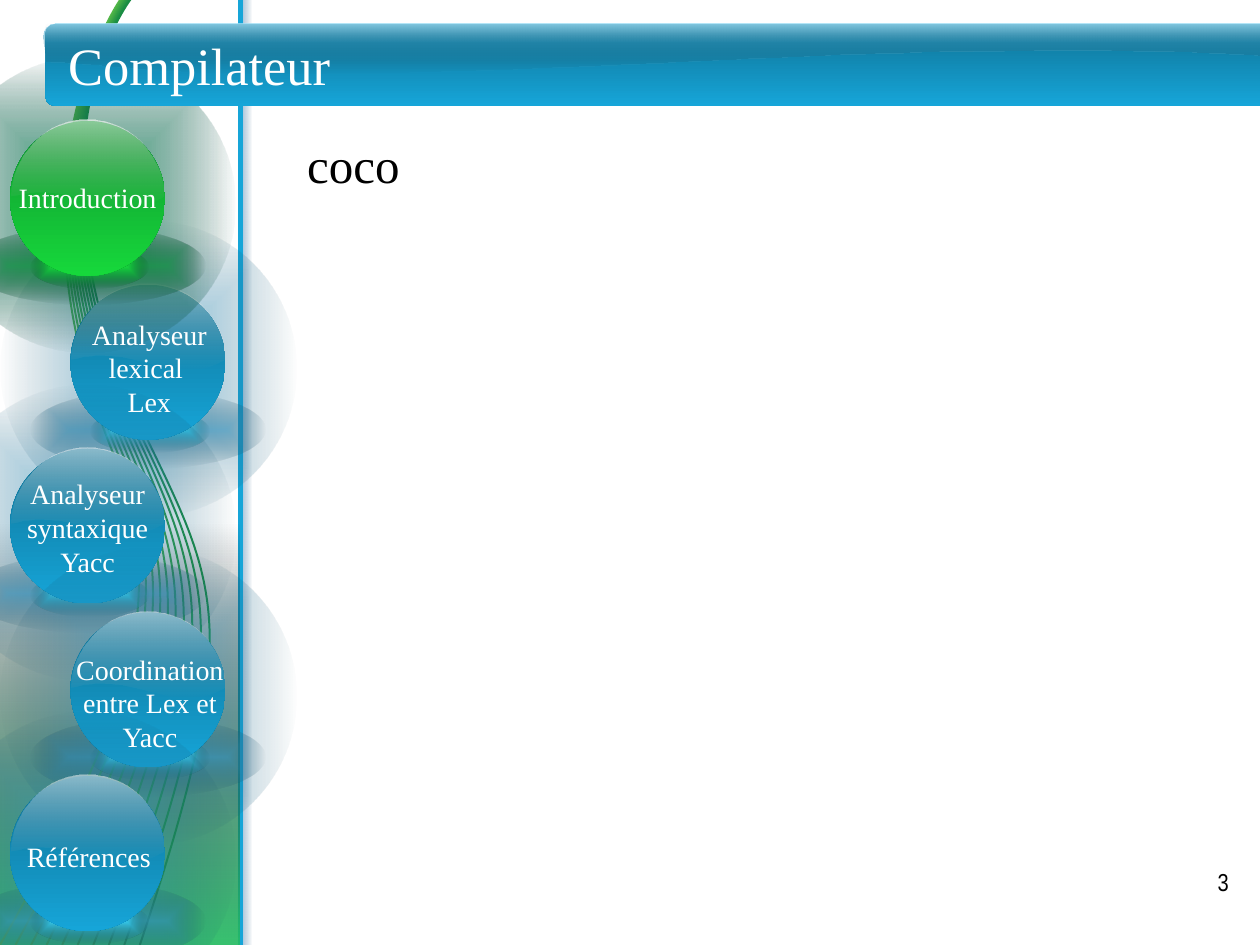
"""Build the compiler slide with its side menu of glossy orbs."""
from lxml import etree
from pptx import Presentation
from pptx.dml.color import RGBColor
from pptx.enum.shapes import MSO_CONNECTOR, MSO_SHAPE
from pptx.enum.text import MSO_ANCHOR, PP_ALIGN
from pptx.oxml import parse_xml
from pptx.oxml.ns import nsdecls, qn
from pptx.util import Inches, Pt

RECT, OVAL, ROUND = MSO_SHAPE.RECTANGLE, MSO_SHAPE.OVAL, MSO_SHAPE.ROUNDED_RECTANGLE
LEFT, MID, RIGHT, JUST = PP_ALIGN.LEFT, PP_ALIGN.CENTER, PP_ALIGN.RIGHT, PP_ALIGN.JUSTIFY
TOP, CENTRE = MSO_ANCHOR.TOP, MSO_ANCHOR.MIDDLE
SERIF, NARROW = "Times New Roman", "Arial Narrow"
WIDE, HIGH = 10, 7.5

HUES = {"white": "FFFFFF", "black": "000000", "rail": "16A5D8",
        "light": "53B848", "dark": "1A8D44"}
COUNT = 10
FIRST = [(0.96, -0.01), (0.96, -0.01, 0, 1.34, 0.88, 3.55), (1.34, 4.71, 1.11, 5.57, 0, 7.5)]
LAST = [(1.04, -0.01), (1.04, -0.01, 0.07, 1.22, 1.2, 3.55), (1.74, 4.67, 1.93, 5.06, 1.11, 7.5)]

GLOSS = [("FFFFFF", 53), ("B6B6B6", 0)]
BODY = [("0F7295", 100), ("16A5D8", 100)]
SKINS = {
    "blue": [[("2FA4D9", 62), ("164C64", 0)], [("338EB7", 61), ("184255", 0)],
             [("35C8EB", 93), ("195D6D", 0)], BODY],
    "green": [[("10942F", 62), ("074416", 0)], [("10942F", 61), ("074416", 0)],
              [("16D83B", 93), ("0A641B", 0)], [("10942F", 100), ("16D83B", 100)]],
}
DISCS = [(0, 0, 2.35, 2.35), (0.24, 1.35, 1.87, 0.62),
         (0.72, 1.5, 0.94, 0.34), (0.56, 0.51, 1.23, 1.23)]
LID = [(1.63, 0.71), (1.72, 0.82, 1.78, 0.95, 1.78, 1.1), (1.36, 1.35, 1.08, 0.96, 0.57, 1.1),
       (0.57, 0.94, 0.64, 0.8, 0.74, 0.69), (0.85, 0.57, 1, 0.5, 1.17, 0.5),
       (1.36, 0.5, 1.52, 0.58, 1.63, 0.71)]
ORBS = [(1, "blue"), (0, "blue"), (2, "blue"), (3, "blue"), (4, "blue"), (0, "green")]
ORB_X, ORB_Y, SHIFT, STEP = -0.48, 0.45, 0.48, 1.3

WAVE = [(5.46, 0.49), (9.66, 0.28, 10.08, 0.51, 11.01, 0.47), (11.01, 0.39, 11.02, 0.32, 11, 0.27),
        (11, 0.22, 10.96, 0.19, 10.91, 0.19), (0.44, 0.19, 0.44, 0.19, 0.44, 0.19),
        (0.39, 0.19, 0.35, 0.23, 0.35, 0.27), (0.34, 0.32, 0.37, 0.4, 0.37, 0.49),
        (1.22, 0.52, 1.26, 0.69, 5.46, 0.49)]
TITLE = ((0.44, 0.21, 9, 0.61), ["Compilateur"], 30, SERIF, "white", LEFT, CENTRE)
TEXTS = [
    ((7.17, 6.83, 2.68, 0.52), ["3"], 14, NARROW, "black", RIGHT, TOP),
    ((0, 3.73, 1.39, 0.91), ["Analyseur syntaxique Yacc"], 16, SERIF, "white", MID, CENTRE),
    ((0.47, 5.12, 1.44, 0.91), ["Coordination entre Lex et Yacc"], 16, SERIF, "white", MID, CENTRE),
    ((0.04, 1.38, 1.31, 0.37), ["Introduction"], 16, SERIF, "white", MID, CENTRE),
    ((0.48, 2.47, 1.41, 0.91), ["Analyseur lexical ", "Lex"], 16, SERIF, "white", MID, TOP),
    ((0, 6.61, 1.41, 0.37), ["Références"], 16, SERIF, "white", MID, CENTRE),
    ((2.34, 1.02, 7.27, 0.57), ["coco"], 28, SERIF, "black", JUST, TOP),
]


def blend(shape, stops, ang=90):
    """Fill with a gradient; no angle means it spreads from the centre."""
    marks = "".join(
        f'<a:gs pos="{i * 100000}"><a:srgbClr val="{hue}"><a:alpha val="{part * 1000}"/>'
        f'</a:srgbClr></a:gs>' for i, (hue, part) in enumerate(stops))
    way = (f'<a:lin ang="{ang * 60000}" scaled="0"/>' if ang is not None else
           '<a:path path="shape"><a:fillToRect l="50000" t="50000" r="50000" b="50000"/></a:path>')
    shape.fill.gradient()
    old = shape.element.spPr.find(qn("a:gradFill"))
    new = parse_xml(f'<a:gradFill {nsdecls("a")} rotWithShape="1">'
                    f'<a:gsLst>{marks}</a:gsLst>{way}</a:gradFill>')
    shape.element.spPr.replace(old, new)
    shape.line.fill.background()
    shape.shadow.inherit = False


def block(home, kind, box, stops, ang=90, bend=None):
    """Add a preset shape with a gradient."""
    shape = home.add_shape(kind, *map(Inches, box))
    if bend is not None:
        shape.adjustments[0] = bend
    blend(shape, stops, ang)


def trace(home, curves, left=0, top=0, close=True):
    """Add an outline through the knots, then bend each side to its curve."""
    (x, y), *rest = curves
    pen = home.build_freeform(Inches(left + x), Inches(top + y))
    pen.add_line_segments([(Inches(left + c[4]), Inches(top + c[5])) for c in rest], close=close)
    shape = pen.convert_to_shape()
    sides = list(shape.element.iter(qn("a:lnTo")))
    for side, c in zip(sides, rest):
        dots = "".join(f'<a:pt x="{Inches(left + px) - shape.left}" '
                       f'y="{Inches(top + py) - shape.top}"/>'
                       for px, py in zip(c[::2], c[1::2]))
        bow = parse_xml(f'<a:cubicBezTo {nsdecls("a")}>{dots}</a:cubicBezTo>')
        side.getparent().replace(side, bow)
    return shape


def mix(low, high, t):
    """Return the colour a share t of the way between two."""
    pairs = zip(RGBColor.from_string(low), RGBColor.from_string(high))
    return RGBColor(*(round(a + (b - a) * t) for a, b in pairs))


def write(shape, box, lines, size, font, hue, align, anchor):
    """Place a text shape and set its lines."""
    shape.left, shape.top, shape.width, shape.height = map(Inches, box)
    frame = shape.text_frame
    frame.word_wrap, frame.vertical_anchor = True, anchor
    for i, line in enumerate(lines):
        para = frame.add_paragraph() if i else frame.paragraphs[0]
        para.alignment = align
        run = para.add_run()
        run.text = line
        run.font.size, run.font.name = Pt(size), font
        run.font.color.rgb = RGBColor.from_string(HUES[hue])


deck = Presentation()
deck.slide_width, deck.slide_height = Inches(WIDE), Inches(HIGH)
slide = deck.slides.add_slide(deck.slide_layouts[5])
shapes = slide.shapes

block(shapes, RECT, (1.92, 0, 0.08, HIGH), [("095B9F", 38), ("064172", 0)], 0)
rail = shapes.add_connector(MSO_CONNECTOR.STRAIGHT, *map(Inches, (1.91, HIGH, 1.91, 0)))
rail.line.width = Pt(3)
rail.line.color.rgb = RGBColor.from_string(HUES["rail"])
etree.SubElement(rail.element.spPr, qn("a:effectLst"))
for hue, part in (("229BE6", 80), ("29CE1C", 60)):
    block(shapes, RECT, (0, 4.14, 1.9, 3.36), [(HUES["black"], 0), (hue, part)])

group = shapes.add_group_shape().shapes
for i in range(COUNT):
    t = i / (COUNT - 1)
    curves = [tuple(a + (b - a) * t for a, b in zip(p, q)) for p, q in zip(FIRST, LAST)]
    strand = trace(group, curves, close=False)
    strand.fill.background()
    strand.line.width = Pt(1.13)
    strand.line.color.rgb = mix(HUES["light"], HUES["dark"], t)
    strand.shadow.inherit = False

for row, skin in ORBS:
    group = shapes.add_group_shape().shapes
    left, top = ORB_X + SHIFT * (row % 2), ORB_Y + STEP * row
    for i, ((x, y, w, h), stops) in enumerate(zip(DISCS, SKINS[skin])):
        block(group, OVAL, (left + x, top + y, w, h), stops, 90 if i == 3 else None)
    blend(trace(group, LID, left, top), GLOSS)

banner = shapes.add_group_shape().shapes
block(banner, ROUND, (0.36, 0.19, 10.64, 0.65), BODY, bend=0.118)
blend(trace(banner, WAVE), [("4DC3ED", 68), ("245A6E", 0)])
block(banner, ROUND, (0.36, 0.19, 10.64, 0.14), [("FFFFFF", 40), ("B6B6B6", 0)], bend=0.167)

title = shapes.title
title.element.getparent().append(title.element)
write(title, *TITLE)
mark = title.element.find(".//" + qn("a:rPr"))
mark.insert(1, parse_xml(
    f'<a:effectLst {nsdecls("a")}><a:outerShdw blurRad="38100" dist="38100" dir="2700000">'
    f'<a:srgbClr val="{HUES["black"]}"/></a:outerShdw></a:effectLst>'))
for box, *rest in TEXTS:
    write(shapes.add_textbox(*map(Inches, box)), box, *rest)

deck.save("out.pptx")
